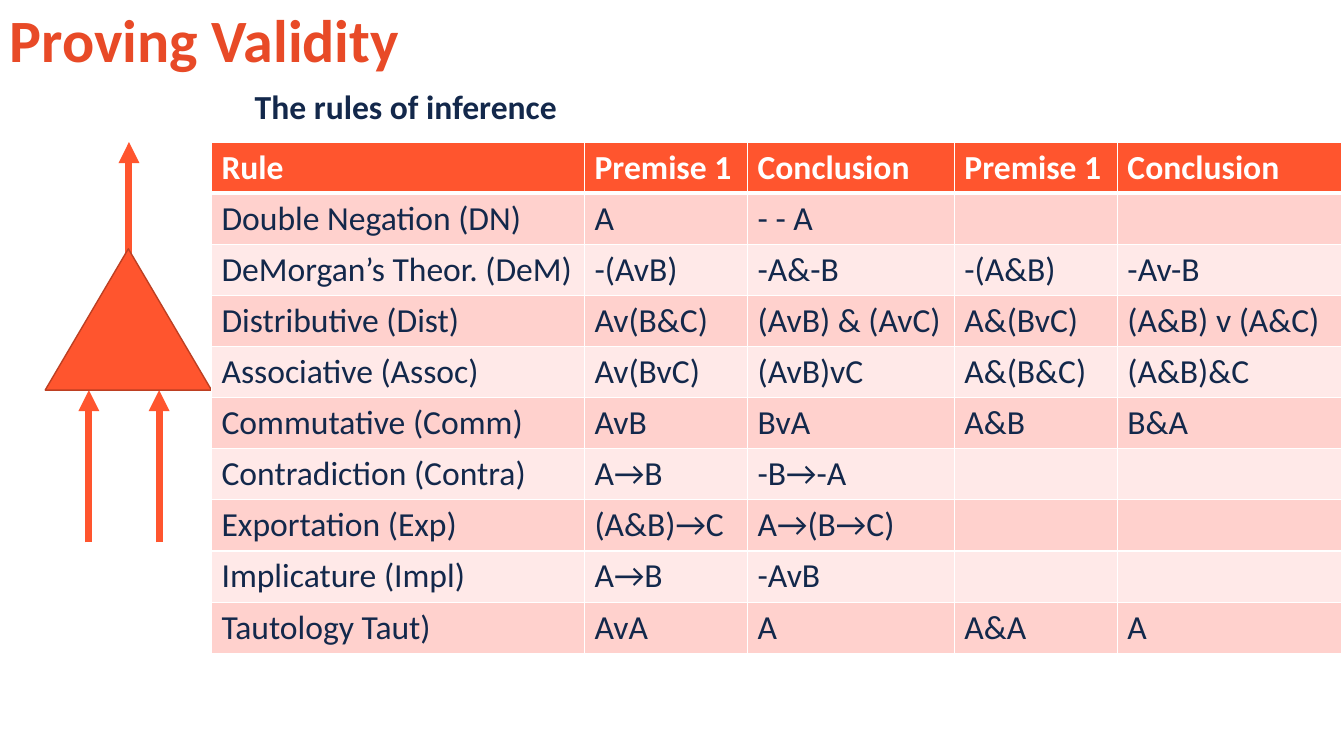
import dataclasses

import lxml.etree
import pptx
import pptx.dml.color
import pptx.enum.shapes
import pptx.enum.text
import pptx.oxml
import pptx.oxml.ns
import pptx.util

Cm = pptx.util.Cm
Pt = pptx.util.Pt

FONT = "Calibri"
ORANGE = "FF552E"
NAVY = "13284B"
WHITE = "FFFFFF"
BANDS = ("FFD1CD", "FFE9E8")

COLUMN_WIDTHS = (9.4, 4.11, 5.21, 4.11, 5.66)
ROW_HEIGHT = 1.27
RULES = (
    ("Rule", "Premise 1", "Conclusion", "Premise 1", "Conclusion"),
    ("Double Negation (DN)", "A", "- - A", "", ""),
    ("DeMorgan’s Theor. (DeM)", "-(AvB)", "-A&-B", "-(A&B)", "-Av-B"),
    ("Distributive (Dist)", "Av(B&C)", "(AvB) & (AvC)", "A&(BvC)", "(A&B) v (A&C)"),
    ("Associative (Assoc)", "Av(BvC)", "(AvB)vC", "A&(B&C)", "(A&B)&C"),
    ("Commutative (Comm)", "AvB", "BvA", "A&B", "B&A"),
    ("Contradiction (Contra)", "A→B", "-B→-A", "", ""),
    ("Exportation (Exp)", "(A&B)→C", "A→(B→C)", "", ""),
    ("Implicature (Impl)", "A→B", "-AvB", "", ""),
    ("Tautology Taut)", "AvA", "A", "A&A", "A"),
)


@dataclasses.dataclass(frozen=True)
class Arrow:
    """An upward arrow, in centimetres."""
    x: float
    bottom: float
    top: float


@dataclasses.dataclass(frozen=True)
class Heading:
    """A bold line of text, box in centimetres."""
    text: str
    left: float
    top: float
    width: float
    height: float
    size: float
    colour: str
    anchor: pptx.enum.text.MSO_ANCHOR
    line_spacing: float


ARROWS = (
    Arrow(2.24, 13.67, 9.83),
    Arrow(4.01, 13.67, 9.83),
    Arrow(3.25, 7.42, 3.58),
)
HEADINGS = (
    Heading("The rules of inference", 6.17, 2.03, 26.57, 1.27, 24, NAVY,
            pptx.enum.text.MSO_ANCHOR.TOP, 1.0),
    Heading("Proving Validity", 0, -0.05, 31.9, 2.29, 42.9, "E84A27",
            pptx.enum.text.MSO_ANCHOR.MIDDLE, 0.9),
)


def rgb(colour: str) -> pptx.dml.color.RGBColor:
    return pptx.dml.color.RGBColor.from_string(colour)


def style_text(frame, size: float, colour: str, bold: bool) -> None:
    for para in frame.paragraphs:
        for span in para.runs:
            span.font.name = FONT
            span.font.size = Pt(size)
            span.font.bold = bold
            span.font.color.rgb = rgb(colour)


def draw_arrow(page, arrow: Arrow) -> None:
    line = page.shapes.add_connector(
        pptx.enum.shapes.MSO_CONNECTOR.STRAIGHT,
        Cm(arrow.x), Cm(arrow.bottom), Cm(arrow.x), Cm(arrow.top))
    line.line.color.rgb = rgb(ORANGE)
    line.line.width = Pt(5)
    properties = line.element.spPr
    outline = properties.find(pptx.oxml.ns.qn("a:ln"))
    lxml.etree.SubElement(outline, pptx.oxml.ns.qn("a:tailEnd"), type="triangle")
    lxml.etree.SubElement(properties, pptx.oxml.ns.qn("a:effectLst"))


def draw_heading(page, heading: Heading) -> None:
    box = page.shapes.add_textbox(
        Cm(heading.left), Cm(heading.top), Cm(heading.width), Cm(heading.height))
    frame = box.text_frame
    frame.word_wrap = True
    frame.vertical_anchor = heading.anchor
    frame.text = heading.text
    frame.paragraphs[0].line_spacing = heading.line_spacing
    style_text(frame, heading.size, heading.colour, True)


def add_border(cell, side: str, points: float) -> None:
    properties = cell._tc.get_or_add_tcPr()
    border = lxml.etree.SubElement(
        properties, pptx.oxml.ns.qn(f"a:ln{side}"), w=str(Pt(points)))
    fill = lxml.etree.SubElement(border, pptx.oxml.ns.qn("a:solidFill"))
    lxml.etree.SubElement(fill, pptx.oxml.ns.qn("a:srgbClr"), val=WHITE)


def draw_rules(page) -> None:
    table = page.shapes.add_table(
        len(RULES), len(COLUMN_WIDTHS), Cm(5.33), Cm(3.58),
        Cm(sum(COLUMN_WIDTHS)), Cm(ROW_HEIGHT * len(RULES))).table
    for column, width in zip(table.columns, COLUMN_WIDTHS):
        column.width = Cm(width)
    for row_index, rule in enumerate(RULES):
        table.rows[row_index].height = Cm(ROW_HEIGHT)
        header = row_index == 0
        for column_index, text in enumerate(rule):
            cell = table.cell(row_index, column_index)
            # Borders come before the fill in the cell properties
            for side in "LRTB":
                under_header = (row_index, side) in ((0, "B"), (1, "T"))
                add_border(cell, side, 3 if under_header else 1)
            cell.fill.solid()
            cell.fill.fore_color.rgb = rgb(ORANGE if header else BANDS[(row_index - 1) % 2])
            cell.text_frame.text = text
            style_text(cell.text_frame, 24, WHITE if header else NAVY, header)


def draw_triangle(page) -> None:
    triangle = page.shapes.add_shape(
        pptx.enum.shapes.MSO_SHAPE.ISOSCELES_TRIANGLE,
        Cm(1.14), Cm(6.27), Cm(4.19), Cm(3.56))
    triangle.shadow.inherit = False
    triangle.fill.solid()
    triangle.fill.fore_color.rgb = rgb(ORANGE)
    triangle.line.color.rgb = rgb("BD3F22")
    triangle.line.width = Pt(1)


def main() -> None:
    deck = pptx.Presentation()
    deck.slide_width = Cm(33.87)
    deck.slide_height = Cm(19.05)
    page = deck.slides.add_slide(deck.slide_layouts[6])

    # Premises lead up into the triangle, the conclusion out of it
    for arrow in ARROWS:
        draw_arrow(page, arrow)
    draw_triangle(page)

    # Table of rules and the headings
    draw_rules(page)
    for heading in HEADINGS:
        draw_heading(page, heading)

    deck.save("out.pptx")


if __name__ == "__main__":
    main()
